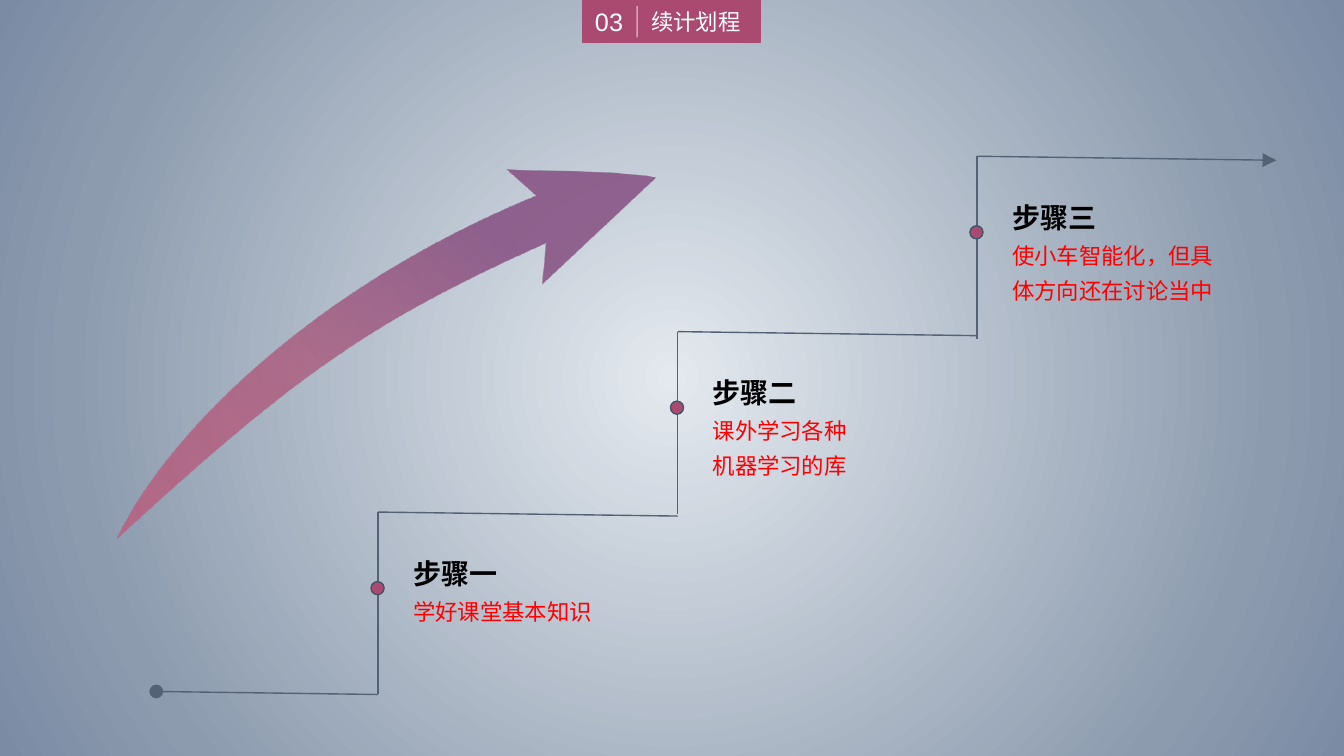
from lxml.etree import SubElement
from pptx import Presentation
from pptx.dml.color import RGBColor
from pptx.enum.shapes import MSO_CONNECTOR, MSO_SHAPE
from pptx.enum.text import MSO_ANCHOR, MSO_AUTO_SIZE, PP_ALIGN
from pptx.oxml.ns import qn
from pptx.util import Inches, Pt

WHITE = RGBColor(0xFF, 0xFF, 0xFF)
BLACK = RGBColor(0, 0, 0)
RED = RGBColor(0xFF, 0, 0)
ROSE = RGBColor(0xAB, 0x4A, 0x70)
SLATE = RGBColor(0x53, 0x62, 0x75)
NAVY = RGBColor(0x44, 0x54, 0x6A)
PLUM = RGBColor(0x7D, 0x41, 0x78)
CORAL = RGBColor(0xC5, 0x4F, 0x71)
BG_STOPS = [(0, RGBColor(0xE4, 0xE9, 0xEF), 100),
            (78, RGBColor(0x8C, 0x9B, 0xAE), 100),
            (100, RGBColor(0x7B, 0x8B, 0xA4), 100)]
ARROW_STOPS = [(25, PLUM, 77), (60, ROSE, 68), (100, CORAL, 68)]

FONT = "Arial"
FIRST_X, PITCH, RISE = 3.75, 2.97, 1.81
UNITS = 1000
STEPS = [
    (5.08, "步骤一", "学好课堂基本知识", 2.0, False),
    (3.29, "步骤二", "课外学习各种机器学习的库", 1.69, True),
    (1.55, "步骤三", "使小车智能化，但具体方向还在讨论当中", 2.33, True),
]


def set_alpha(color, percent):
    SubElement(color, qn("a:alpha"), val=str(percent * 1000))


def radial_fill(fill, owner, stops, focus):
    fill.gradient()
    grad = next(owner.iter(qn("a:gradFill")))
    grad.clear()
    grad.set("rotWithShape", "1")
    stop_list = SubElement(grad, qn("a:gsLst"))
    for pos, rgb, alpha in stops:
        stop = SubElement(stop_list, qn("a:gs"), pos=str(pos * 1000))
        color = SubElement(stop, qn("a:srgbClr"), val=str(rgb))
        if alpha < 100:
            set_alpha(color, alpha)
    circle = SubElement(grad, qn("a:path"), path="circle")
    sides = {side: str(v * 1000) for side, v in zip("ltrb", focus)}
    SubElement(circle, qn("a:fillToRect"), **sides)


def add_line(s, start, end, rgb=SLATE, alpha=100, **ends):
    c = s.shapes.add_connector(MSO_CONNECTOR.STRAIGHT, *map(Inches, start + end))
    c.line.color.rgb = rgb
    c.line.width = Pt(1)
    if alpha < 100:
        set_alpha(next(c._element.iter(qn("a:srgbClr"))), alpha)
    for tag, kind in ends.items():
        SubElement(c.line._get_or_add_ln(), qn("a:" + tag), type=kind,
                   w="lg", len="lg")
    SubElement(c._element.spPr, qn("a:effectLst"))


def add_shape(s, kind, box, line):
    sp = s.shapes.add_shape(kind, *map(Inches, box))
    sp.shadow.inherit = False
    sp.fill.solid()
    sp.fill.fore_color.rgb = ROSE
    sp.line.color.rgb = line
    sp.line.width = Pt(1)


def write(sp, text, size, rgb, bold=False, wrap=True, align=PP_ALIGN.LEFT,
          anchor=MSO_ANCHOR.TOP, spacing=None):
    tf = sp.text_frame
    tf.text = text
    tf.word_wrap = wrap
    tf.auto_size = MSO_AUTO_SIZE.SHAPE_TO_FIT_TEXT
    tf.vertical_anchor = anchor
    p = tf.paragraphs[0]
    p.alignment = align
    p.line_spacing = spacing
    p.font.name = FONT
    p.font.size = Pt(size)
    p.font.bold = bold
    p.font.color.rgb = rgb


def add_text(s, box, text, size, rgb, **style):
    write(s.shapes.add_textbox(*map(Inches, box)), text, size, rgb, **style)


def add_header(s, x, y, w, h):
    add_shape(s, MSO_SHAPE.RECTANGLE, (x, y, w, h), ROSE)
    title = s.shapes.title
    s.shapes._spTree.append(title._element)
    title.left, title.top, title.width, title.height = map(
        Inches, (x + 0.58, y + 0.03, w - 0.58, 0.37))
    write(title, "续计划程", 16, WHITE, anchor=MSO_ANCHOR.MIDDLE)
    add_text(s, (x, y + 0.01, 0.52, 0.4), "03", 18, WHITE,
             align=PP_ALIGN.CENTER, anchor=MSO_ANCHOR.MIDDLE)
    add_line(s, (x + 0.54, y + 0.06), (x + 0.54, y + 0.37), WHITE, 49)


def add_step(s, x, y, heading, body, width, wrap, **ends):
    add_line(s, (x, y), (x, y + RISE))
    add_line(s, (x, y), (x + PITCH, y + 0.04), **ends)
    add_shape(s, MSO_SHAPE.OVAL, (x - 0.07, y + 0.69, 0.13, 0.13), NAVY)
    add_text(s, (x + 0.25, y + 0.39, 1.04, 0.44), heading, 20, BLACK,
             bold=True, wrap=False)
    add_text(s, (x + 0.25, y + 0.72, width, 0.77 if wrap else 0.42), body,
             16, RED, wrap=wrap, spacing=1.3)


def add_staircase(s):
    add_line(s, (1.55, 6.86), (FIRST_X, 6.89), headEnd="oval")
    for i, step in enumerate(STEPS):
        ends = {"tailEnd": "triangle"} if i == len(STEPS) - 1 else {}
        add_step(s, FIRST_X + i * PITCH, *step, **ends)


def bezier(p0, p1, p2, p3, n=32):
    return [tuple((1 - t) ** 3 * a + 3 * (1 - t) ** 2 * t * b
                  + 3 * (1 - t) * t ** 2 * c + t ** 3 * d
                  for a, b, c, d in zip(p0, p1, p2, p3))
            for t in (i / n for i in range(1, n + 1))]


def add_rising_arrow(s, x, y, w, h):
    tail, neck, barb = (0, 3.66), (4.15, 0.26), (3.86, 0)
    tip, low_barb, low_neck = (5.34, 0.08), (4.21, 1.14), (4.25, 0.73)
    outline = (bezier(tail, (0.44, 2.71), (1.84, 1.21), neck) + [barb]
               + bezier(barb, (4.35, 0.03), (4.84, 0), tip)
               + [low_barb, low_neck]
               + bezier(low_neck, (2.54, 1.5), (1.82, 1.99), tail))
    points = [(px * UNITS, py * UNITS) for px, py in outline]
    fb = s.shapes.build_freeform(0, tail[1] * UNITS, scale=Inches(1) / UNITS)
    fb.add_line_segments(points, close=True)
    sp = fb.convert_to_shape()
    sp.left, sp.top, sp.width, sp.height = map(Inches, (x, y, w, h))
    sp.shadow.inherit = False
    radial_fill(sp.fill, sp._element, ARROW_STOPS, (100, 0, 0, 100))
    sp.line.fill.background()


def main():
    prs = Presentation()
    prs.slide_width, prs.slide_height = Inches(13.33), Inches(7.5)
    s = prs.slides.add_slide(prs.slide_layouts[5])
    radial_fill(s.background.fill, s._element, BG_STOPS, (50, 50, 50, 50))
    add_header(s, 5.78, 0, 1.76, 0.42)
    add_staircase(s)
    add_rising_arrow(s, 1.16, 1.68, 5.34, 3.66)
    prs.save("out.pptx")


if __name__ == "__main__":
    main()
